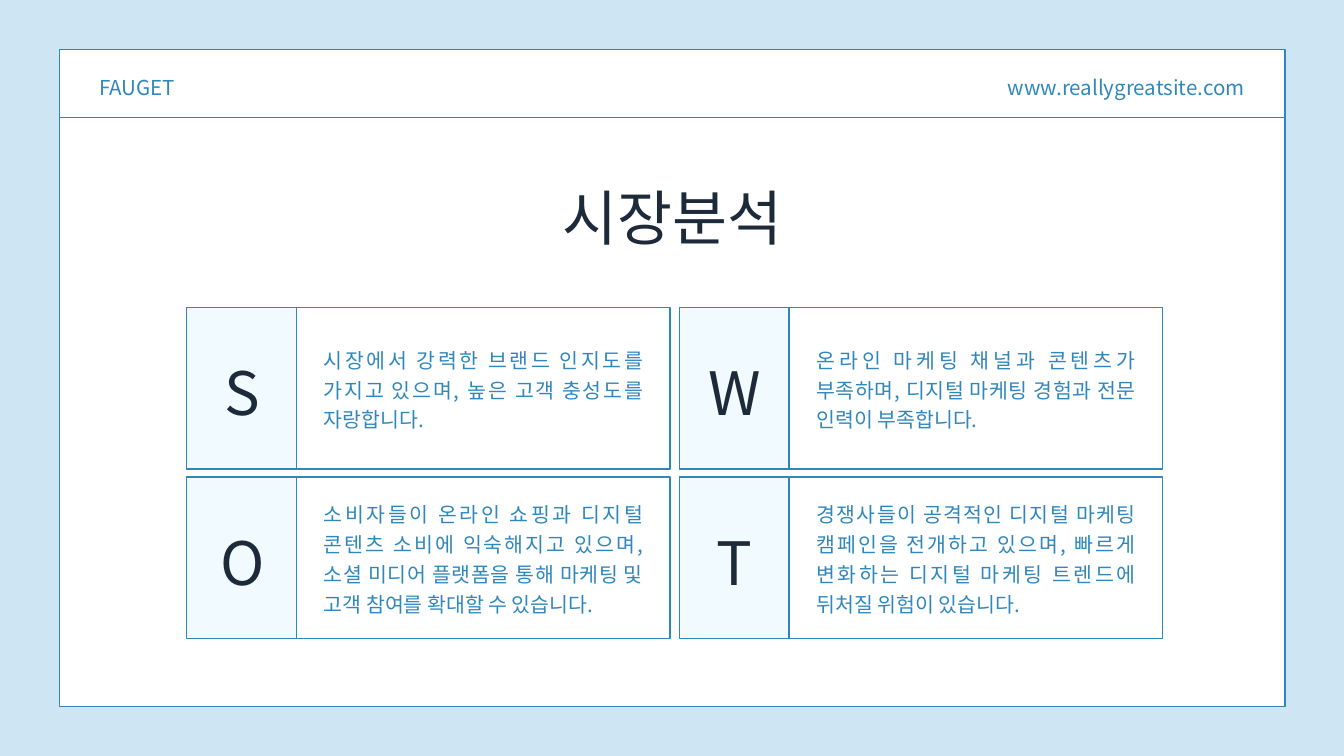
from lxml.etree import SubElement
from pptx import Presentation
from pptx.dml.color import RGBColor
from pptx.enum.shapes import MSO_CONNECTOR, MSO_SHAPE
from pptx.enum.text import MSO_ANCHOR, MSO_AUTO_SIZE, PP_ALIGN
from pptx.oxml.ns import qn
from pptx.util import Emu, Pt

EMU_PER_PX = 9144
SKY, WHITE, ICE, BLUE, NAVY = "CEE6F4", "FFFFFF", "F1FAFF", "3087BB", "1D2A3A"
FONT = "Noto Sans CJK KR"

COLUMN_LEFTS = [278, 1011]
ROW_TOPS = [458, 710]
CELL_HEIGHT = 240
SWOT = [
    ("S", 130, "시장에서 강력한 브랜드 인지도를 가지고 있으며, 높은 고객 충성도를 자랑합니다."),
    ("W", 130, "온라인 마케팅 채널과 콘텐츠가 부족하며, 디지털 마케팅 경험과 전문 인력이 부족합니다."),
    ("O", 174, "소비자들이 온라인 쇼핑과 디지털 콘텐츠 소비에 익숙해지고 있으며, "
               "소셜 미디어 플랫폼을 통해 마케팅 및 고객 참여를 확대할 수 있습니다."),
    ("T", 174, "경쟁사들이 공격적인 디지털 마케팅 캠페인을 전개하고 있으며, "
               "빠르게 변화하는 디지털 마케팅 트렌드에 뒤처질 위험이 있습니다."),
]


def px(length):
    return Emu(round(length * EMU_PER_PX))


def color(value):
    return RGBColor.from_string(value)


def write(shape, text, size=22, spacing=30.8, fill=BLUE, font=FONT, align=PP_ALIGN.LEFT):
    frame = shape.text_frame
    frame.word_wrap = True
    frame.auto_size = MSO_AUTO_SIZE.NONE
    frame.vertical_anchor = MSO_ANCHOR.TOP
    frame.margin_left = frame.margin_right = frame.margin_top = frame.margin_bottom = 0
    paragraph = frame.paragraphs[0]
    paragraph.alignment = align
    paragraph.line_spacing = Pt(spacing)
    paragraph.space_before = Pt(0)
    run = paragraph.add_run()
    run.text = text
    run.font.size = Pt(size)
    run.font.name = font
    run.font.color.rgb = color(fill)


class SlideBuilder:
    def __init__(self, slide, line=BLUE, line_width=1.5):
        self.slide = slide
        self.line = line
        self.line_width = line_width

    def background(self, fill):
        self.slide.background.fill.solid()
        self.slide.background.fill.fore_color.rgb = color(fill)

    def outline(self, shape):
        shape.line.color.rgb = color(self.line)
        shape.line.width = Pt(self.line_width)

    def panel(self, left, top, width, height, fill=WHITE):
        shape = self.slide.shapes.add_shape(
            MSO_SHAPE.RECTANGLE, px(left), px(top), px(width), px(height))
        shape.shadow.inherit = False
        shape.fill.solid()
        shape.fill.fore_color.rgb = color(fill)
        self.outline(shape)

    def rule(self, left, right, top):
        connector = self.slide.shapes.add_connector(
            MSO_CONNECTOR.STRAIGHT, px(left), px(top), px(right), px(top))
        self.outline(connector)
        SubElement(connector.element.spPr, qn("a:effectLst"))

    def title(self, text, left, top, width, height, **style):
        shape = self.slide.shapes.title
        shape.left, shape.top, shape.width, shape.height = map(px, (left, top, width, height))
        shape.element.getparent().append(shape.element)
        write(shape, text, **style)

    def text(self, text, left, top, width, height, **style):
        shape = self.slide.shapes.add_textbox(px(left), px(top), px(width), px(height))
        write(shape, text, **style)


def main():
    presentation = Presentation()
    presentation.slide_width = px(2000)
    presentation.slide_height = px(1125)
    builder = SlideBuilder(presentation.slides.add_slide(presentation.slide_layouts[5]))
    heading = dict(size=64, spacing=89.6, fill=NAVY, align=PP_ALIGN.CENTER)

    builder.background(SKY)
    builder.panel(89, 74, 1823, 977)
    builder.rule(89, 1911, 175)
    builder.text("FAUGET", 148, 106, 322, 42)
    builder.text("www.reallygreatsite.com", 1441, 106, 411, 42, align=PP_ALIGN.RIGHT)
    builder.title("시장분석", 694, 251, 613, 119, font="Calibri", **heading)

    for index, (letter, height, description) in enumerate(SWOT):
        row, column = divmod(index, 2)
        left, top = COLUMN_LEFTS[column], ROW_TOPS[row]
        builder.panel(left, top, 167, CELL_HEIGHT, fill=ICE)
        builder.panel(left + 163, top, 556, CELL_HEIGHT)
        builder.text(letter, left + 35, top + 54, 95, 119, **heading)
        builder.text(description, left + 204, top + 117 - height // 2, 475, height,
                     spacing=31.9, align=PP_ALIGN.JUSTIFY)

    presentation.save("out.pptx")


if __name__ == "__main__":
    main()
